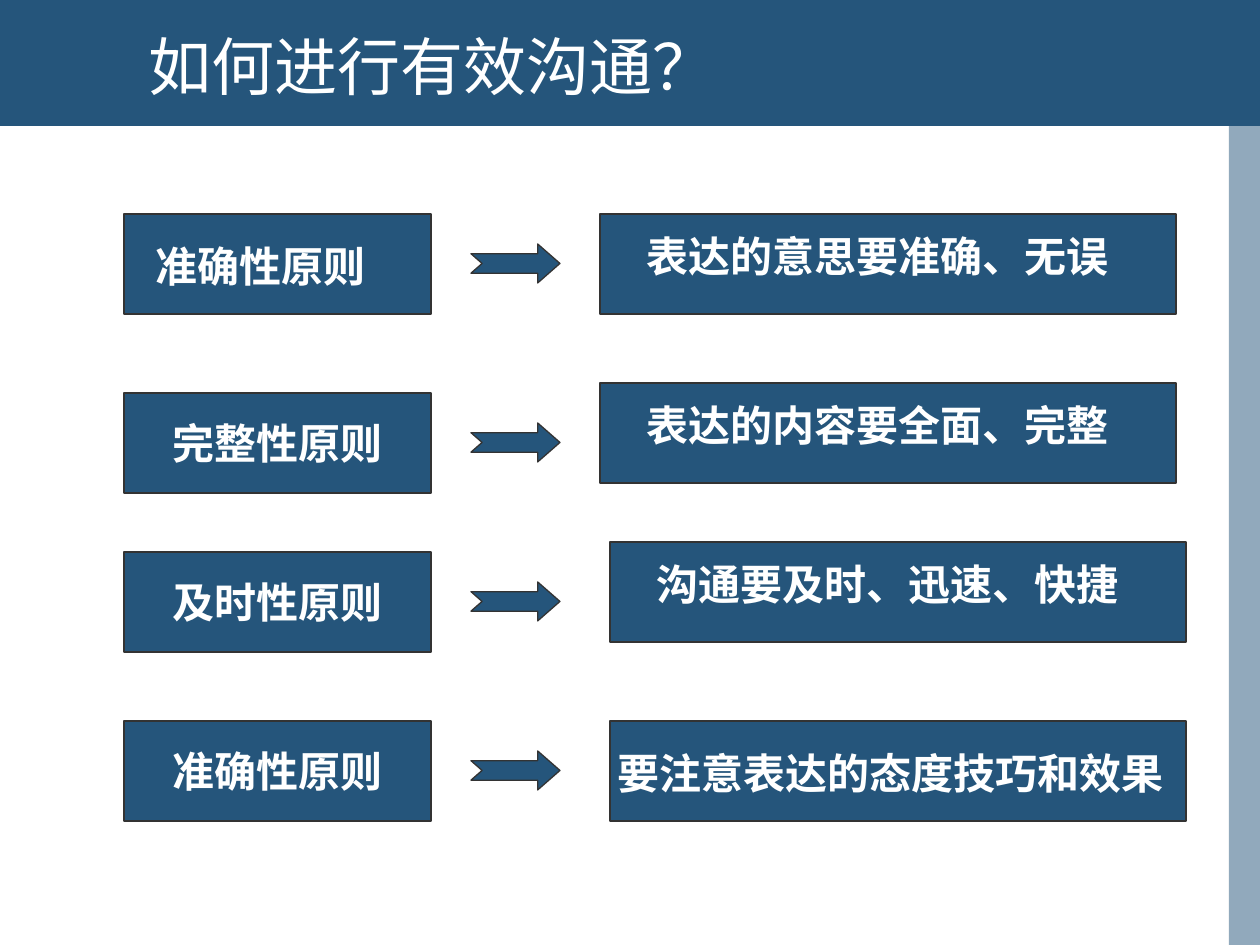
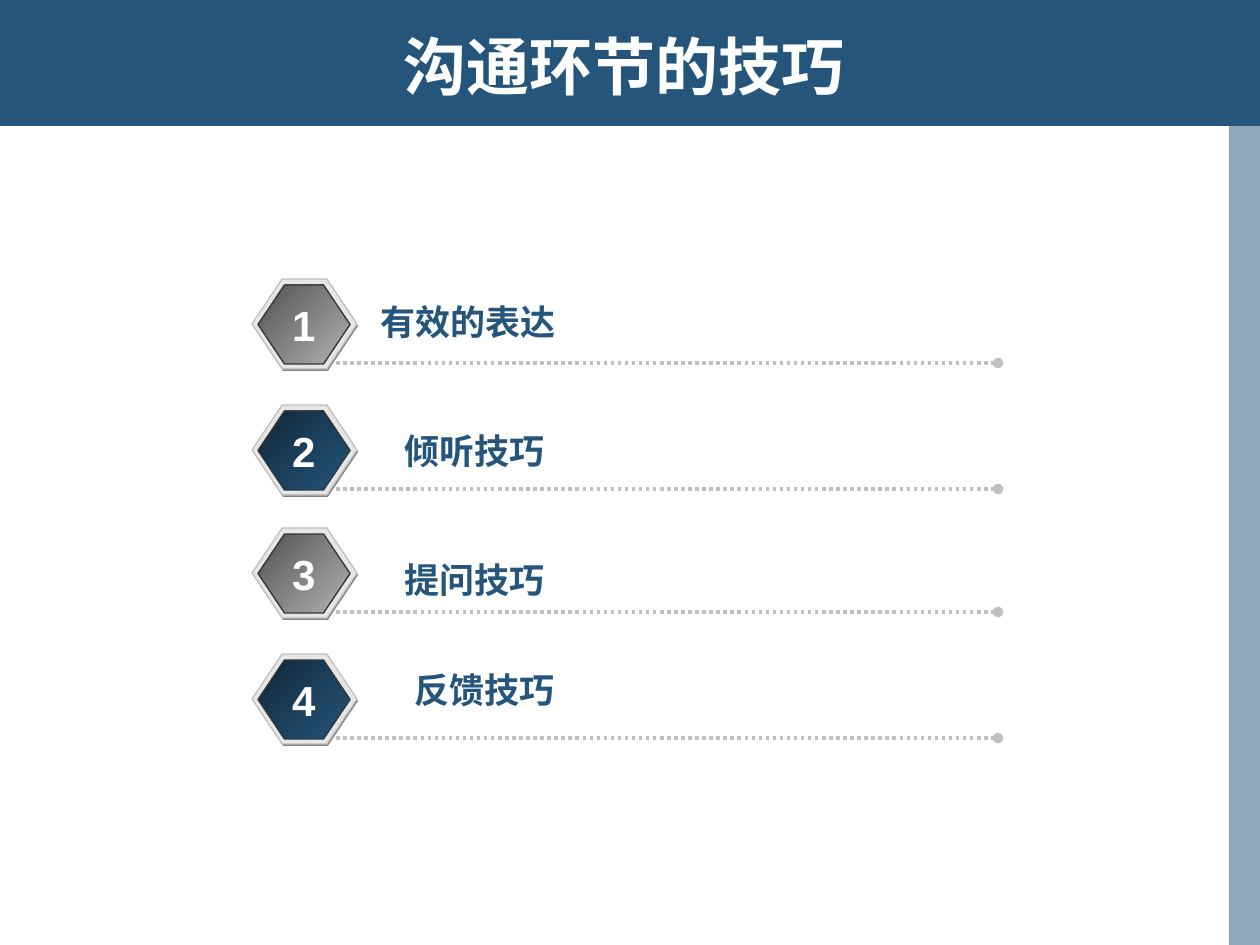
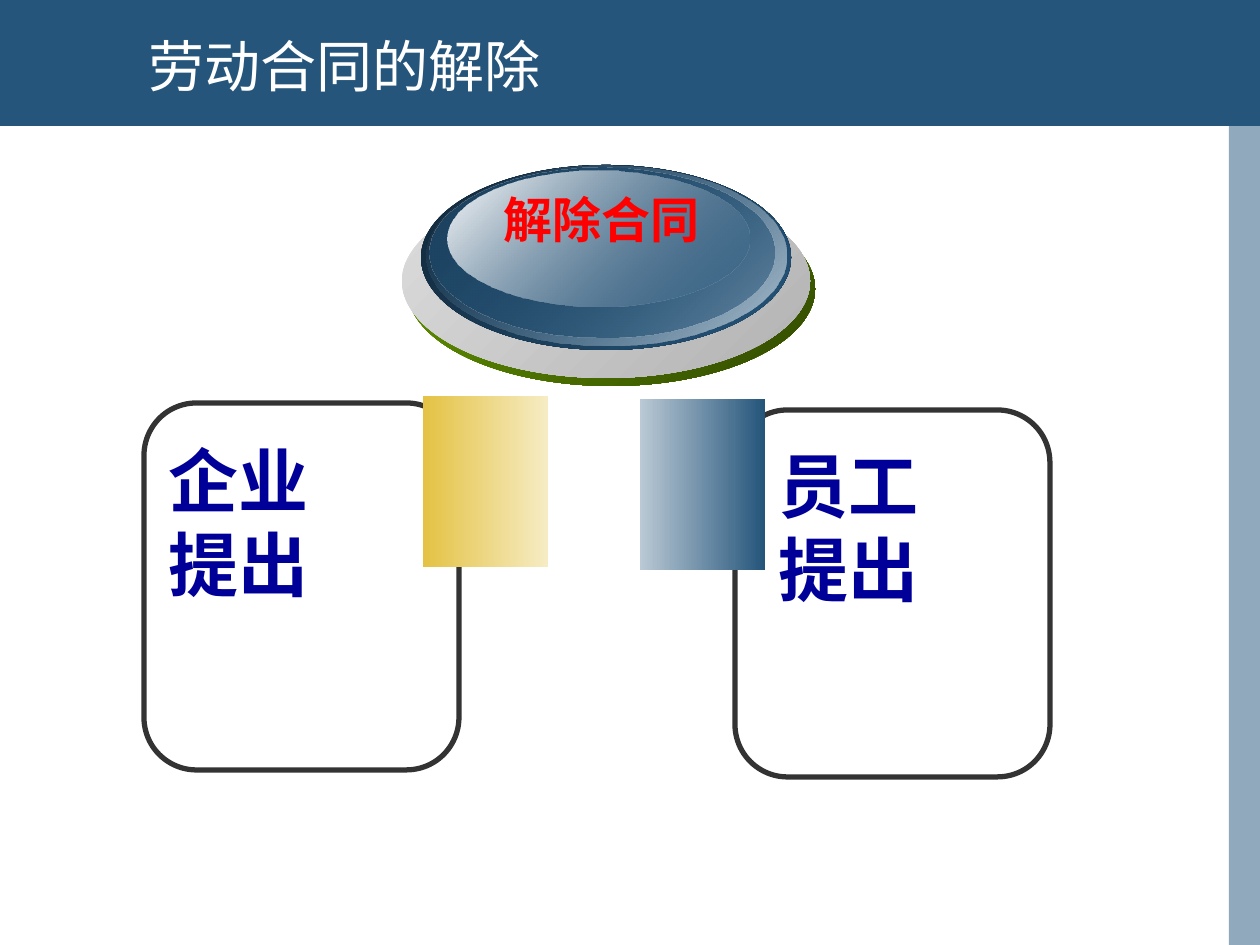
from dataclasses import dataclass

from lxml import etree
from pptx import Presentation
from pptx import util as u
from pptx.dml.color import RGBColor
from pptx.enum import dml, shapes, text
from pptx.oxml import ns

EMU_PER_PX = 914400 / 126
KIND = shapes.MSO_SHAPE
ALIGN = text.PP_ALIGN


@dataclass(frozen=True)
class Theme:
    """Colours, fonts and type sizes shared by the deck."""

    navy: str = "25557B"
    deep: str = "112739"
    white: str = "FFFFFF"
    ink: str = "333333"
    silver: str = "C0C0C0"
    ash: str = "B2B2B2"
    shade: str = "808080"
    rim: str = "E6E6E6"
    red: str = "FF0000"
    royal: str = "000099"
    cjk: str = "Noto Sans CJK SC"
    latin: str = "Arial"
    title: int = 36
    title_small: int = 32
    label: int = 24
    item: int = 20
    panel: int = 40
    button: int = 28


THEME = Theme()


def px(*lengths):
    """Turn px lengths into EMU."""
    return [u.Emu(round(length * EMU_PER_PX)) for length in lengths]


def add_node(parent, tag, **attributes):
    """Append a DrawingML element to its parent."""
    return etree.SubElement(parent, ns.qn(tag), **attributes)


def set_alpha(color_node, percent):
    """Give a colour element an opacity in percent."""
    add_node(color_node, "a:alpha", val=str(percent * 1000))


def write(frame, content, size, color=THEME.white, bold=True, font=THEME.cjk,
          align=ALIGN.LEFT, anchor=text.MSO_ANCHOR.TOP, wrap=True):
    """Fill a text frame with one paragraph per line and return the spans."""
    frame.word_wrap = wrap
    frame.auto_size = text.MSO_AUTO_SIZE.NONE
    frame.vertical_anchor = anchor
    spans = []
    for number, line in enumerate(content.split("\n")):
        para = frame.add_paragraph() if number else frame.paragraphs[0]
        para.alignment = align
        span = para.add_run()
        span.text = line
        span.font.size = u.Pt(size)
        span.font.bold = bold
        span.font.color.rgb = RGBColor.from_string(color)
        span.font.name = font
        add_node(span.font._element, "a:ea", typeface=THEME.cjk)
        spans.append(span)
    return spans


def add_text(parent, at, content, size, **style):
    """Add a text box."""
    box = parent.add_textbox(*px(*at))
    write(box.text_frame, content, size, **style)
    return box


def add_box(parent, kind, at, fill=None, line=None, width=0.75, adjust=()):
    """Add a preset shape with an optional solid fill and outline."""
    box = parent.add_shape(kind, *px(*at))
    box.shadow.inherit = False
    for number, value in enumerate(adjust):
        box.adjustments[number] = value
    if fill:
        box.fill.solid()
        box.fill.fore_color.rgb = RGBColor.from_string(fill)
    else:
        box.fill.background()
    if line:
        box.line.color.rgb = RGBColor.from_string(line)
        box.line.width = u.Pt(width)
    else:
        box.line.fill.background()
    return box


def shade(box, start, end, angle=45, alphas=(100, 100)):
    """Give a shape a two-stop linear gradient, angle clockwise."""
    box.fill.gradient()
    box.fill.gradient_angle = (360 - angle) % 360
    for stop, color in zip(box.fill.gradient_stops, (start, end)):
        stop.color.rgb = RGBColor.from_string(color)
    gradient = box.element.spPr.find(ns.qn("a:gradFill"))
    for node, alpha in zip(gradient.iter(ns.qn("a:srgbClr")), alphas):
        if alpha < 100:
            set_alpha(node, alpha)


def add_dotted_line(parent, left, right, y):
    """Add a dotted rule that ends in a dot."""
    rule = parent.add_connector(shapes.MSO_CONNECTOR.STRAIGHT, *px(left, y, right, y))
    rule.line.color.rgb = RGBColor.from_string(THEME.silver)
    rule.line.width = u.Pt(2)
    rule.line.dash_style = dml.MSO_LINE.ROUND_DOT
    add_node(rule.line._ln, "a:tailEnd", type="oval")
    add_node(rule.element.spPr, "a:effectLst")


def add_badge(parent, top, number, start, end):
    """Add a numbered hexagon badge."""
    group = parent.add_group_shape().shapes
    hexagon = (0.335,)
    add_box(group, KIND.HEXAGON, (253, top + 2, 105, 90), THEME.shade, adjust=hexagon)
    add_box(group, KIND.HEXAGON, (252, top, 105, 90), THEME.rim, THEME.silver, adjust=hexagon)
    core = add_box(group, KIND.HEXAGON, (258, top + 6, 92, 79), line=THEME.ink, adjust=hexagon)
    shade(core, start, end)
    add_text(parent, (280, top + 14, 48, 63), str(number), THEME.label,
             font=THEME.latin, align=ALIGN.CENTER, wrap=False)


def add_panel(parent, left, top, text_at, content):
    """Add a rounded outline with a heading."""
    group = parent.add_group_shape().shapes
    add_box(group, KIND.ROUNDED_RECTANGLE, (left, top, 315, 367), line=THEME.ink, width=3)
    add_text(group, text_at, content, THEME.panel, color=THEME.royal)


def add_bands(deck, slide):
    """Put the title band and the side band on the master."""
    top = add_box(slide.shapes, KIND.RECTANGLE, (0, 0, 1260, 126), THEME.navy)
    side = add_box(slide.shapes, KIND.RECTANGLE, (1229, 126, 31, 819), THEME.navy)
    set_alpha(next(side.element.spPr.iter(ns.qn("a:srgbClr"))), 50)
    tree = deck.slide_master.shapes.element
    for number, band in enumerate((top, side)):
        band.element.nvSpPr.cNvPr.id = 20 + number
        tree.insert(2 + number, band.element)


def add_slide(deck, title, size=THEME.title, bold=False, align=ALIGN.LEFT):
    """Add a slide with a softly shadowed title."""
    slide = deck.slides.add_slide(deck.slide_layouts[5])
    box = slide.shapes.title
    box.left, box.top, box.width, box.height = px(136, 32, 977, 67)
    spans = write(box.text_frame, title, size, bold=bold, align=align,
                  anchor=text.MSO_ANCHOR.MIDDLE)
    for span in spans:
        effects = etree.Element(ns.qn("a:effectLst"))
        shadow = add_node(effects, "a:outerShdw", dist="17961", dir="2700000")
        add_node(shadow, "a:srgbClr", val=THEME.silver)
        span.font._element.find(ns.qn("a:solidFill")).addnext(effects)
    return slide


def build_principles(deck):
    """Build the slide that pairs principles with their meaning."""
    slide = add_slide(deck, "如何进行有效沟通？")
    add_bands(deck, slide)
    page = slide.shapes
    rows = [
        (214, "准确性原则", 600, 214, "表达的意思要准确、无误", (610, 224, 535, 63)),
        (393, "完整性原则", 600, 383, "表达的内容要全面、完整", (610, 393, 535, 63)),
        (552, "及时性原则", 610, 542, "沟通要及时、迅速、快捷", (620, 552, 535, 63)),
        (721, "准确性原则", 610, 721, "要注意表达的态度技巧和效果", (551, 741, 679, 63)),
    ]
    for number, (top, label, left, detail_top, detail, detail_at) in enumerate(rows):
        box = add_box(page, KIND.FLOWCHART_PROCESS, (124, top, 307, 100), THEME.navy, THEME.ink)
        if number:
            write(box.text_frame, label, THEME.label, align=ALIGN.CENTER,
                  anchor=text.MSO_ANCHOR.MIDDLE, wrap=False)
        else:
            add_text(page, (143, top + 20, 368, 63), label, THEME.label)
        add_box(page, KIND.NOTCHED_RIGHT_ARROW, (471, top + 30, 89, 39),
                THEME.navy, THEME.ink, adjust=(0.5, 0.57))
        add_box(page, KIND.RECTANGLE, (left, detail_top, 576, 100), THEME.navy, THEME.ink)
        add_text(page, detail_at, detail, THEME.label, align=ALIGN.CENTER)


def build_skills(deck):
    """Build the numbered list of skills."""
    page = add_slide(deck, "沟通环节的技巧", bold=True, align=ALIGN.CENTER).shapes
    skills = [
        (279, "有效的表达", 368, 294),
        (405, "倾听技巧", 392, 423),
        (528, "提问技巧", 392, 552),
        (654, "反馈技巧", 402, 662),
    ]
    tones = [(THEME.deep, THEME.navy), ("525252", THEME.ash)]
    for number, (top, skill, left, text_top) in enumerate(skills, 1):
        add_badge(page, top, number, *tones[number % 2])
        add_dotted_line(page, 336, 998, top + 84)
        add_text(page, (left, text_top, 218, 55), skill, THEME.item, color=THEME.navy)


def build_termination(deck):
    """Build the slide on who ends the contract."""
    page = add_slide(deck, "劳动合同的解除", THEME.title_small).shapes
    add_panel(page, 735, 410, (766, 436, 273, 181), "员工\n提出")
    add_panel(page, 144, 403, (156, 431, 281, 181), "企业\n提出")
    for left, top, start, end in [(423, 396, "E4C244", "F6ECC4"),
                                  (640, 399, "BAC9D5", THEME.navy)]:
        shade(add_box(page, KIND.RECTANGLE, (left, top, 125, 171)), start, end, angle=0)
    button = page.add_group_shape().shapes
    layers = [
        ((407, 192, 408, 194), "669900", "324A00", (100, 100)),
        ((402, 184, 408, 194), "DDDDDD", THEME.ash, (100, 100)),
        ((421, 165, 370, 185), THEME.deep, THEME.navy, (100, 100)),
        ((426, 166, 360, 180), THEME.navy, "B3C4D1", (0, 100)),
        ((430, 168, 344, 169), "1D4361", THEME.navy, (100, 48)),
        ((448, 171, 302, 136), THEME.white, THEME.navy, (100, 38)),
    ]
    for at, start, end, alphas in layers:
        shade(add_box(button, KIND.OVAL, at), start, end, alphas=alphas)
    add_text(button, (491, 183, 221, 72), "解除合同", THEME.button, color=THEME.red,
             font=THEME.latin, align=ALIGN.CENTER, wrap=False)


def main():
    """Build and save the deck."""
    deck = Presentation()
    deck.slide_width, deck.slide_height = px(1260, 945)
    build_principles(deck)
    build_skills(deck)
    build_termination(deck)
    deck.save("out.pptx")


if __name__ == "__main__":
    main()
